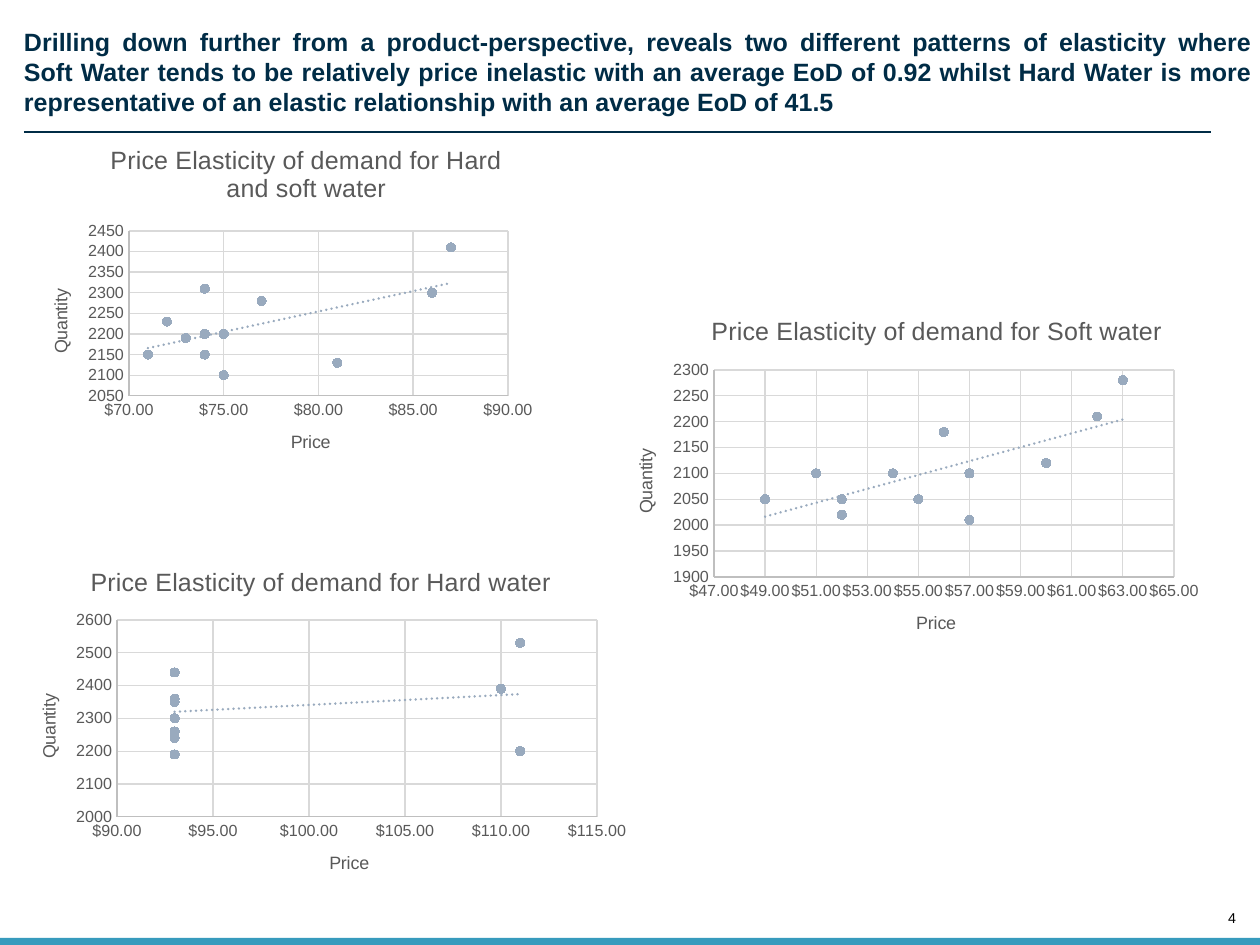
from lxml import etree
from pptx import Presentation
from pptx.chart.data import XyChartData
from pptx.dml.color import RGBColor
from pptx.enum.chart import XL_CHART_TYPE, XL_MARKER_STYLE, XL_TICK_MARK
from pptx.enum.shapes import MSO_CONNECTOR, MSO_SHAPE
from pptx.enum.text import MSO_ANCHOR, PP_ALIGN
from pptx.oxml import parse_xml
from pptx.oxml.ns import qn
from pptx.util import Pt

PX = 7112
FONT = "Arial"
SCATTER = XL_CHART_TYPE.XY_SCATTER
CIRCLE = XL_MARKER_STYLE.CIRCLE
NO_TICK = XL_TICK_MARK.NONE
STRAIGHT = MSO_CONNECTOR.STRAIGHT
RECT = MSO_SHAPE.RECTANGLE
TOP, BOTTOM = MSO_ANCHOR.TOP, MSO_ANCHOR.BOTTOM
JUSTIFY, RIGHT = PP_ALIGN.JUSTIFY, PP_ALIGN.RIGHT

COLORS = {
    "navy": "002C46", "teal": "379BBD", "black": "000000", "grey": "595959",
    "axis": "BFBFBF", "grid": "D9D9D9", "point": "99AABE",
}
TITLE = (
    "Drilling down further from a product-perspective, reveals two different "
    "patterns of elasticity where\vSoft Water tends to be relatively price "
    "inelastic with an average EoD of 0.92 whilst Hard Water is more "
    "representative of an elastic relationship with an average EoD of 41.5"
)
CHARTS = [
    {
        "title": "Price Elasticity of demand for Hard and soft water",
        "box": (24, 132, 518, 346), "plot": (129, 231, 379, 165),
        "title_at": (106, 139), "price": (70, 90, 5), "quantity": (2050, 2450, 50),
        "points": [(86, 2300), (87, 2410), (81, 2130), (73, 2190),
                   (71, 2150), (72, 2230), (77, 2280), (75, 2200),
                   (74, 2150), (75, 2100), (74, 2200), (74, 2310)],
    },
    {
        "title": "Price Elasticity of demand for Hard water",
        "box": (10, 548, 628, 352), "plot": (117, 620, 480, 197),
        "title_at": (86, 561), "price": (90, 115, 5), "quantity": (2000, 2600, 100),
        "points": [(110, 2390), (111, 2530), (111, 2200), (93, 2350),
                   (93, 2240), (93, 2360), (93, 2440), (93, 2300),
                   (93, 2260), (93, 2190), (93, 2300), (93, 2440)],
    },
    {
        "title": "Price Elasticity of demand for Soft water",
        "box": (608, 297, 603, 364), "plot": (714, 370, 460, 207),
        "title_at": (707, 310), "price": (47, 65, 2), "quantity": (1900, 2300, 50),
        "points": [(62, 2210), (63, 2280), (55, 2050), (52, 2020),
                   (49, 2050), (51, 2100), (60, 2120), (54, 2100),
                   (52, 2050), (57, 2010), (57, 2100), (56, 2180)],
    },
]


def emu(*lengths):
    return [v * PX for v in lengths]


def rgb(name):
    return RGBColor.from_string(COLORS[name])


def style_font(font, size, color, bold=False):
    font.name, font.size, font.bold = FONT, Pt(size), bold
    font.color.rgb = rgb(color)


def style_line(line, color):
    line.color.rgb = rgb(color)
    line.width = Pt(0.75)


def write(tf, text, size, color, align, anchor, bold=False):
    tf.margin_left = tf.margin_right = tf.margin_top = tf.margin_bottom = 0
    tf.vertical_anchor = anchor
    tf.text = text
    p = tf.paragraphs[0]
    p.alignment = align
    for r in p.runs:
        style_font(r.font, size, color, bold)


def add_title(s):
    sp = s.shapes.title
    sp.left, sp.top, sp.width, sp.height = emu(24, 26, 1229, 91)
    sp.text_frame.word_wrap = True
    write(sp.text_frame, TITLE, 14, "navy", JUSTIFY, TOP, True)


def add_rule(s):
    line = s.shapes.add_connector(STRAIGHT, *emu(24, 132, 1211, 132))
    style_line(line.line, "navy")
    etree.SubElement(line._element.spPr, qn("a:effectLst"))


def add_footer(s):
    bar = s.shapes.add_shape(RECT, *emu(0, 938, 1260, 7))
    bar.shadow.inherit = False
    bar.fill.solid()
    bar.fill.fore_color.rgb = rgb("teal")
    bar.line.fill.background()
    number = s.shapes.add_textbox(*emu(1206, 909, 30, 17))
    write(number.text_frame, "4", 8, "black", RIGHT, BOTTOM)


def place(element, chart_box, x, y, w=None, h=None):
    left, top, width, height = chart_box
    layout = element.find(qn("c:layout"))
    if layout is None:
        layout = etree.Element(qn("c:layout"))
        element.insert(0 if element.find(qn("c:tx")) is None else 1, layout)
    manual = etree.SubElement(layout, qn("c:manualLayout"))
    values = [("xMode", "edge"), ("yMode", "edge"),
              ("x", (x - left) / width), ("y", (y - top) / height)]
    if w is not None:
        values.insert(0, ("layoutTarget", "inner"))
        values += [("w", w / width), ("h", h / height)]
    for tag, value in values:
        etree.SubElement(manual, qn("c:" + tag)).set("val", str(value))


def set_chart_title(title, text, size, box, at):
    title.text_frame.text = text
    style_font(title.text_frame.paragraphs[0].runs[0].font, size, "grey")
    place(title._element, box, *at)


def style_axis(axis, text, scale, number_format, box, at):
    axis.minimum_scale, axis.maximum_scale, axis.major_unit = scale
    axis.major_tick_mark = axis.minor_tick_mark = NO_TICK
    axis.has_major_gridlines = True
    style_line(axis.major_gridlines.format.line, "grid")
    style_line(axis.format.line, "axis")
    style_font(axis.tick_labels.font, 9, "grey")
    axis.tick_labels.number_format = number_format
    axis.tick_labels.number_format_is_linked = False
    set_chart_title(axis.axis_title, text, 10, box, at)


def add_trendline(series):
    trend = parse_xml(
        '<c:trendline xmlns:c="http://schemas.openxmlformats.org/drawingml/2006/chart" '
        'xmlns:a="http://schemas.openxmlformats.org/drawingml/2006/main">'
        '<c:spPr><a:ln w="19050" cap="rnd"><a:solidFill>'
        f'<a:srgbClr val="{COLORS["point"]}"/></a:solidFill>'
        '<a:prstDash val="sysDot"/></a:ln></c:spPr>'
        '<c:trendlineType val="linear"/><c:dispRSqr val="0"/>'
        '<c:dispEq val="0"/></c:trendline>'
    )
    series._element.find(qn("c:xVal")).addprevious(trend)


def add_scatter(s, info):
    box, plot = info["box"], info["plot"]
    data = XyChartData()
    series = data.add_series("Series 1")
    for price, quantity in info["points"]:
        series.add_data_point(price, quantity)
    chart = s.shapes.add_chart(SCATTER, *emu(*box), data).chart
    style_font(chart.font, 10, "black")
    chart.has_legend = False
    chart.plots[0].vary_by_categories = False
    set_chart_title(chart.chart_title, info["title"], 14, box, info["title_at"])

    x, y, w, h = plot
    place(chart._chartSpace.chart.plotArea, box, *plot)
    style_axis(chart.category_axis, "Price", info["price"],
               '"$"#,##0.00', box, (x + w / 2 - 31, y + h + 31))
    style_axis(chart.value_axis, "Quantity", info["quantity"],
               "General", box, (x - 83, y + h / 2 - 28))

    points = chart.plots[0].series[0]
    points.format.line.fill.background()
    points.marker.style, points.marker.size = CIRCLE, 5
    points.marker.format.fill.solid()
    points.marker.format.fill.fore_color.rgb = rgb("point")
    style_line(points.marker.format.line, "point")
    add_trendline(points)


def main():
    prs = Presentation()
    prs.slide_width, prs.slide_height = emu(1260, 945)
    s = prs.slides.add_slide(prs.slide_layouts[5])
    add_footer(s)
    add_title(s)
    add_rule(s)
    for chart in CHARTS:
        add_scatter(s, chart)
    prs.save("out.pptx")


if __name__ == "__main__":
    main()
